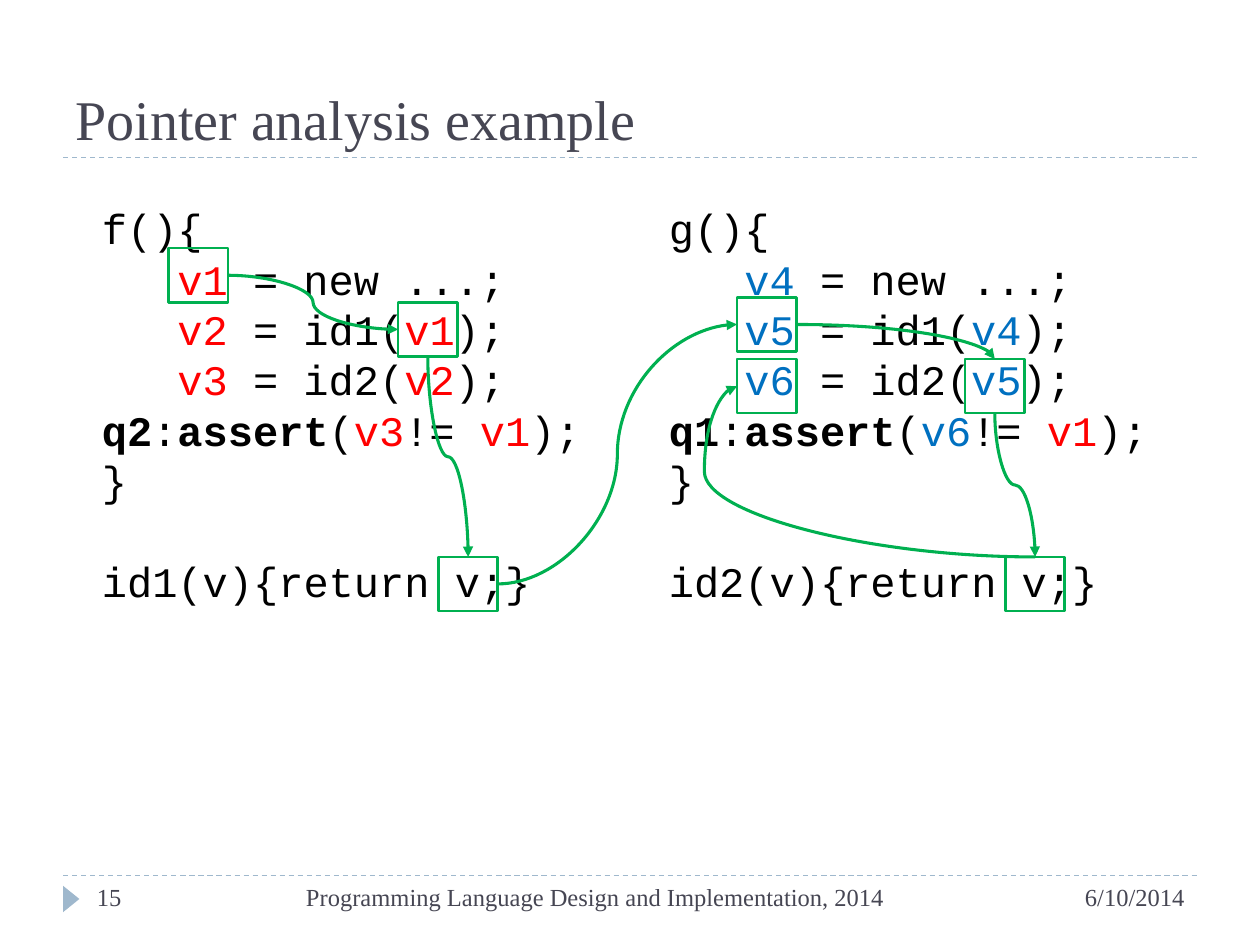
from dataclasses import dataclass

from lxml import etree
from pptx import Presentation
from pptx.dml.color import RGBColor
from pptx.enum.dml import MSO_LINE
from pptx.enum.shapes import MSO_CONNECTOR, MSO_SHAPE
from pptx.enum.text import MSO_ANCHOR, PP_ALIGN
from pptx.oxml.ns import qn
from pptx.util import Inches, Pt

CURVE, STRAIGHT = MSO_CONNECTOR.CURVE, MSO_CONNECTOR.STRAIGHT
RECTANGLE, TRIANGLE = MSO_SHAPE.RECTANGLE, MSO_SHAPE.ISOSCELES_TRIANGLE
LEFT, CENTER, RIGHT = PP_ALIGN.LEFT, PP_ALIGN.CENTER, PP_ALIGN.RIGHT
TOP, BOTTOM = MSO_ANCHOR.TOP, MSO_ANCHOR.BOTTOM
DASH = MSO_LINE.DASH


@dataclass(frozen=True)
class Theme:
    heading: RGBColor = RGBColor.from_string("464653")
    rule: RGBColor = RGBColor.from_string("9FB8CD")
    code: RGBColor = RGBColor.from_string("000000")
    red: RGBColor = RGBColor.from_string("FF0000")
    blue: RGBColor = RGBColor.from_string("0070C0")
    flow: RGBColor = RGBColor.from_string("00B050")
    serif: str = "Times New Roman"
    mono: str = "Courier New"
    title_size: Pt = Pt(32)
    code_size: Pt = Pt(24)
    footer_size: Pt = Pt(14)
    blank_line: Pt = Pt(28.8)


THEME = Theme()
MARK_WIDTH, MARK_HEIGHT = 0.47, 0.43


def add_frame(slide, box, anchor=TOP):
    frame = slide.shapes.add_textbox(*map(Inches, box)).text_frame
    frame.word_wrap = True
    frame.vertical_anchor = anchor
    return frame


def add_label(slide, box, text, size, align=LEFT, anchor=TOP):
    paragraph = add_frame(slide, box, anchor).paragraphs[0]
    paragraph.text = text
    paragraph.alignment = align
    paragraph.font.name = THEME.serif
    paragraph.font.size = size
    paragraph.font.color.rgb = THEME.heading


def add_line(slide, kind, start, end, color, width):
    line = slide.shapes.add_connector(kind, *map(Inches, (*start, *end)))
    line.line.color.rgb = color
    line.line.width = Pt(width)
    etree.SubElement(line._element.spPr, qn("a:effectLst"))
    return line


def add_rule(slide, left, top, width):
    rule = add_line(slide, STRAIGHT, (left, top), (left + width, top), THEME.rule, 0.75)
    rule.line.dash_style = DASH


def add_title(slide, box):
    left, top, width, height = box
    add_rule(slide, left, top + height, width)
    add_label(slide, box, "Pointer analysis example", THEME.title_size, anchor=BOTTOM)


def add_footer(slide, box):
    left, top, width, height = box
    add_rule(slide, left, top, width)
    pointer = slide.shapes.add_shape(
        TRIANGLE, *map(Inches, (left - 0.04, top + 0.12, 0.21, 0.13)))
    pointer.rotation = 90
    pointer.shadow.inherit = False
    pointer.fill.solid()
    pointer.fill.fore_color.rgb = THEME.rule
    pointer.line.fill.background()
    for offset, label_width, text, align in (
        (0.17, 0.89, "15", LEFT),
        (1.06, 6.33, "Programming Language Design and Implementation, 2014", CENTER),
        (6.5, 2.5, "6/10/2014", RIGHT),
    ):
        add_label(slide, (left + offset, top, label_width, height), text,
                  THEME.footer_size, align)


def add_code(slide, box, function, query, variables, color, helper):
    """Each line is a list of (text, color, bold) pieces."""
    first, second, third = variables

    def plain(text):
        return text, THEME.code, False

    def strong(text):
        return text, THEME.code, True

    def variable(text, tint=color):
        return text, tint, False

    body = [
        [variable(first), plain(" = new ...;")],
        [variable(second), plain(" = id1("), variable(first), plain(");")],
        [variable(third), plain(" = id2("), variable(second), plain(");")],
    ]
    check = [strong(query), plain(":"), strong("assert"), plain("("), variable(third),
             plain("!= "), variable("v1", THEME.red), plain(");")]
    lines = [[plain(f"{function}(){{")], *body, check, [plain("}")],
             [plain(f"{helper}(v){{return v;}}")]]

    frame = add_frame(slide, box)
    for index, pieces in enumerate(lines):
        paragraph = frame.paragraphs[0] if index == 0 else frame.add_paragraph()
        paragraph.font.name = THEME.mono
        paragraph.font.size = THEME.code_size
        if pieces in body:
            paragraph._p.get_or_add_pPr().set("marL", str(Inches(0.6)))
        for text, tint, bold in pieces:
            run = paragraph.add_run()
            run.text = text
            run.font.color.rgb = tint
            run.font.bold = bold
    paragraph.space_before = THEME.blank_line


def add_mark(slide, left, top):
    mark = slide.shapes.add_shape(
        RECTANGLE, *map(Inches, (left, top, MARK_WIDTH, MARK_HEIGHT)))
    mark.shadow.inherit = False
    mark.fill.background()
    mark.line.color.rgb = THEME.flow
    mark.line.width = Pt(1.5)


def side(mark, name):
    """Middle of one side of a mark."""
    across, down = {"top": (0.5, 0), "left": (0, 0.5),
                    "bottom": (0.5, 1), "right": (1, 0.5)}[name]
    return mark[0] + across * MARK_WIDTH, mark[1] + down * MARK_HEIGHT


def add_flow(slide, start, end, turn=0, bend=None, preset=None):
    """Curved arrow; turn 270 leaves downwards, turn 180 leaves leftwards."""
    (x1, y1), (x2, y2) = start, end
    if turn == 180:
        start, end = end, start
    elif turn == 270:
        middle_x, middle_y = (x1 + x2) / 2, (y1 + y2) / 2
        half_width, half_height = (y2 - y1) / 2, (x2 - x1) / 2
        start = middle_x - half_width, middle_y - half_height
        end = middle_x + half_width, middle_y + half_height
    flow = add_line(slide, CURVE, start, end, THEME.flow, 1.75)
    properties = flow._element.spPr
    frame = properties.find(qn("a:xfrm"))
    geometry = properties.find(qn("a:prstGeom"))
    if turn:
        frame.set("rot", str(turn * 60000))
    if turn == 270:
        frame.set("flipH", "1")
    if preset:
        geometry.set("prst", preset)
    if bend:
        etree.SubElement(geometry.find(qn("a:avLst")), qn("a:gd"),
                         name="adj1", fmla=f"val {round(bend * 100000)}")
    etree.SubElement(properties.find(qn("a:ln")), qn("a:tailEnd"), type="triangle")


def add_value_flow(slide, box):
    left, top = box[:2]
    marks = {
        name: (left + x, top + y) for name, x, y in (
            ("v1", 0.63, 0.41), ("id1 argument", 2.45, 0.84), ("id1 result", 2.77, 2.86),
            ("v5", 5.14, 0.8), ("id2 argument", 6.95, 1.29), ("id2 result", 7.27, 2.86),
            ("v6", 5.14, 1.29))
    }
    for mark in marks.values():
        add_mark(slide, *mark)

    def join(source, source_side, target, target_side, **shape):
        add_flow(slide, side(marks[source], source_side),
                 side(marks[target], target_side), **shape)

    join("v1", "right", "id1 argument", "left")
    join("id1 argument", "bottom", "id1 result", "top", turn=270)
    join("id1 result", "right", "v5", "left")
    join("v5", "right", "id2 argument", "top", preset="curvedConnector2")
    join("id2 result", "top", "v6", "left", turn=180, bend=1.11)
    join("id2 argument", "bottom", "id2 result", "top", turn=270)


def main():
    deck = Presentation()
    deck.slide_width, deck.slide_height = Inches(10), Inches(7.5)
    slide = deck.slides.add_slide(deck.slide_layouts[6])
    add_footer(slide, (0.5, 6.95, 9, 0.4))
    add_title(slide, (0.5, 0.17, 9, 1.08))
    # Code listings
    add_code(slide, (0.71, 1.56, 4.15, 3.33), "f", "q2", ("v1", "v2", "v3"), THEME.red, "id1")
    add_code(slide, (5.21, 1.56, 4.03, 3.33), "g", "q1", ("v4", "v5", "v6"), THEME.blue, "id2")
    # Value flow drawn over the listings
    add_value_flow(slide, (0.71, 1.56, 8.53, 3.33))
    deck.save("out.pptx")


if __name__ == "__main__":
    main()
